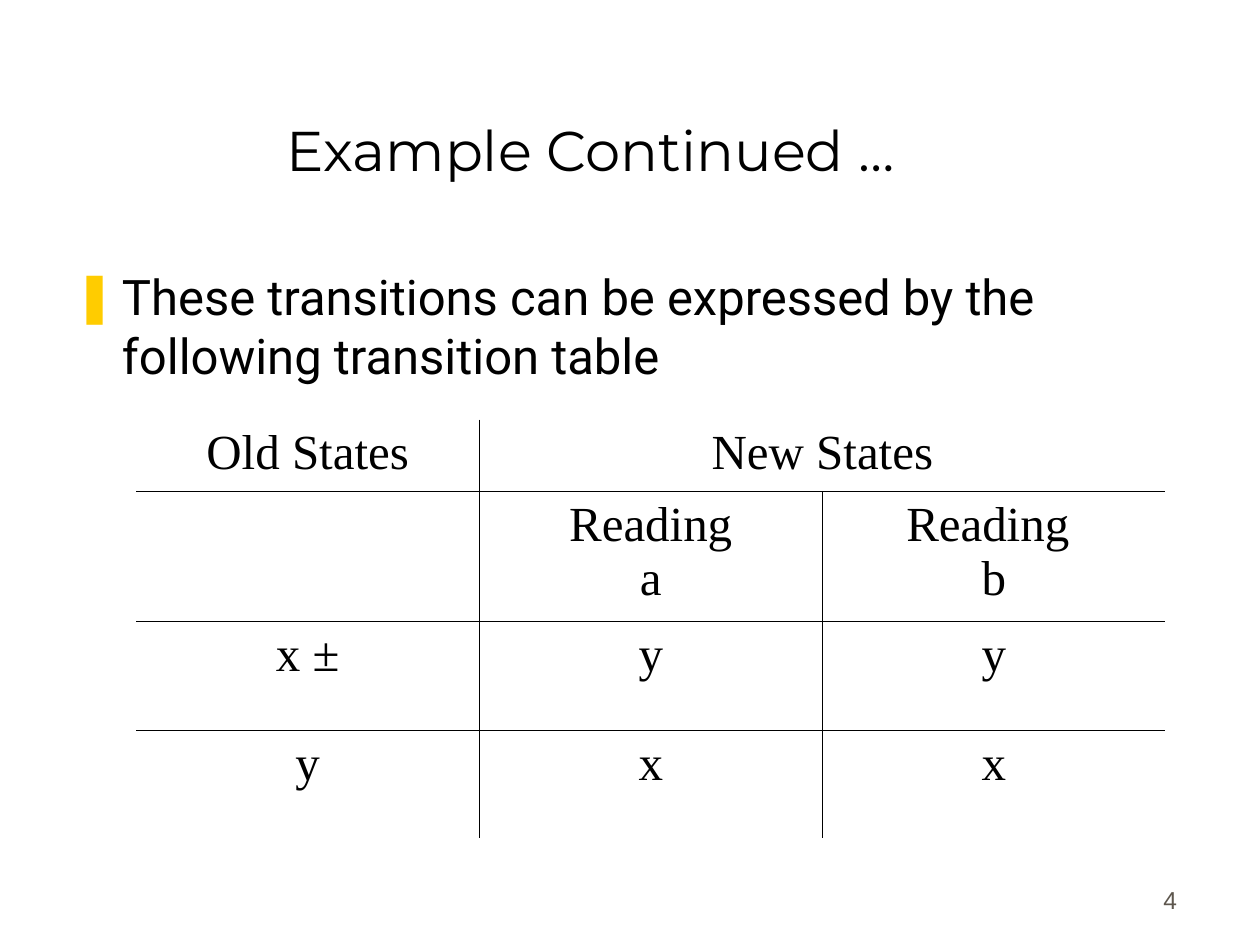
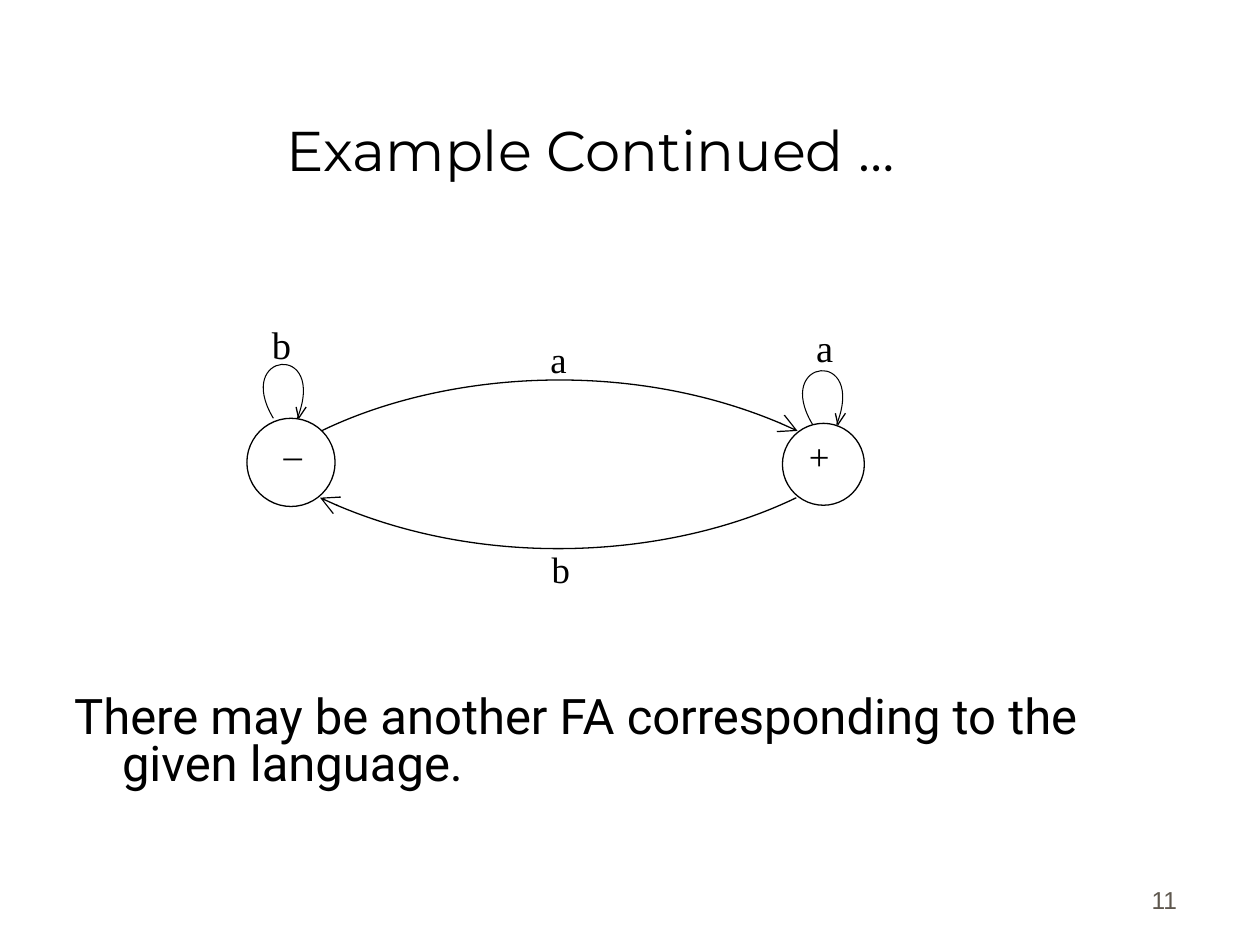
from lxml import etree
from pptx import Presentation
from pptx.dml.color import RGBColor
from pptx.enum.shapes import MSO_CONNECTOR, MSO_SHAPE
from pptx.enum.text import MSO_ANCHOR, PP_ALIGN
from pptx.oxml.ns import qn
from pptx.util import Inches, Pt

LEFT, CENTER, RIGHT = PP_ALIGN.LEFT, PP_ALIGN.CENTER, PP_ALIGN.RIGHT
TOP, BOTTOM = MSO_ANCHOR.TOP, MSO_ANCHOR.BOTTOM
ELLIPSE, STRAIGHT = MSO_SHAPE.OVAL, MSO_CONNECTOR.STRAIGHT
TITLE_ONLY = 5

BLACK, WHITE, YELLOW, GREY = "000000", "FFFFFF", "FFCC00", "5E574E"
TITLE_FONT, BODY_FONT, FIGURE_FONT, NUMBER_FONT = "Montserrat", "Roboto", "Times New Roman", "Arial"
TITLE = "Example Continued …"
TITLE_BOX = (0.44, 0.25, 8.5, 1.25)
NUMBER_BOX = (7.36, 6.81, 2.08, 0.5)
HANGING = 0.38
PLAIN_TABLE_STYLE = "{2D5ABB26-0587-4C30-8999-92F81FD0307C}"


def color(value):
    return RGBColor.from_string(value)


def add_element(parent, tag, **attributes):
    element = etree.SubElement(parent, qn(tag))
    for name, value in attributes.items():
        element.set(name, str(value))
    return element


def write(frame, text, font=FIGURE_FONT, size=28, ink=BLACK, align=LEFT, anchor=TOP,
          insets=(0.1, 0.05), hanging=0, bullet=None, line_spacing=None):
    frame.word_wrap = True
    frame.vertical_anchor = anchor
    frame.margin_left = frame.margin_right = Inches(insets[0])
    frame.margin_top = frame.margin_bottom = Inches(insets[1])
    frame.text = text
    for paragraph in frame.paragraphs:
        paragraph.alignment = align
        paragraph.line_spacing = line_spacing
        for run in paragraph.runs:
            run.font.name = font
            run.font.size = Pt(size)
            run.font.color.rgb = color(ink)
        if hanging:
            properties = paragraph._p.get_or_add_pPr()
            properties.set("marL", str(Inches(hanging)))
            properties.set("indent", str(-Inches(hanging)))
            if bullet:
                add_element(add_element(properties, "a:buClr"), "a:srgbClr", val=YELLOW)
                add_element(properties, "a:buFont", typeface=NUMBER_FONT)
                add_element(properties, "a:buChar", char=bullet)


def add_text(slide, box, text, **text_format):
    shape = slide.shapes.add_textbox(*map(Inches, box))
    write(shape.text_frame, text, **text_format)


def add_base_slide(presentation, number):
    slide = presentation.slides.add_slide(presentation.slide_layouts[TITLE_ONLY])
    title = slide.shapes.title
    title.left, title.top, title.width, title.height = map(Inches, TITLE_BOX)
    write(title.text_frame, TITLE, font=TITLE_FONT, size=32, align=CENTER, anchor=BOTTOM)
    add_text(slide, NUMBER_BOX, number, font=NUMBER_FONT, size=14, ink=GREY,
             align=RIGHT, anchor=BOTTOM)
    return slide


def add_border(cell, side):
    line = add_element(cell._tc.get_or_add_tcPr(), f"a:ln{side}", w=Pt(0.45))
    add_element(add_element(line, "a:solidFill"), "a:srgbClr", val=BLACK)


def add_transition_table(slide, box):
    rows = [
        ("Old States", "New States", ""),
        ("", "Reading\na", "Reading \nb"),
        ("x ±", "y", "y"),
        ("y", "x", "x"),
    ]
    heights = (0.57, 1.03, 0.86, 0.86)
    last_row, last_column = len(rows) - 1, len(rows[0]) - 1
    frame = slide.shapes.add_table(len(rows), len(rows[0]), *map(Inches, box))
    table = frame.table
    table.first_row = table.horz_banding = False
    table._tbl.tblPr.find(qn("a:tableStyleId")).text = PLAIN_TABLE_STYLE
    table.cell(0, 1).merge(table.cell(0, 2))
    for row_index, (row, height) in enumerate(zip(rows, heights)):
        table.rows[row_index].height = Inches(height)
        for column_index, text in enumerate(row):
            cell = table.cell(row_index, column_index)
            if text:
                write(cell.text_frame, text, align=CENTER)
            merged = row_index == 0
            edges = {
                "L": column_index == 1 or column_index == 2 and not merged,
                "R": column_index == 0 or column_index < last_column and not merged,
                "T": row_index > 0,
                "B": row_index < last_row,
            }
            for side, visible in edges.items():
                if visible:
                    add_border(cell, side)
            cell.fill.background()


def style_line(shape, width):
    shape.line.color.rgb = color(BLACK)
    shape.line.width = Pt(width)


def add_curve(slide, points, width, arrow=False):
    start, *others = [tuple(map(Inches, point)) for point in points]
    builder = slide.shapes.build_freeform(*start)
    builder.add_line_segments(others, close=False)
    shape = builder.convert_to_shape()
    outline = next(shape._element.iter(qn("a:path")))
    curve = add_element(outline, "a:cubicBezTo")
    for segment in outline.findall(qn("a:lnTo")):
        curve.append(segment[0])
        outline.remove(segment)
    shape.shadow.inherit = False
    shape.fill.background()
    style_line(shape, width)
    if arrow:
        add_element(shape.line._get_or_add_ln(), "a:tailEnd", type="arrow", w="lg", len="lg")


def add_stroke(slide, start, end):
    connector = slide.shapes.add_connector(STRAIGHT, *map(Inches, (*start, *end)))
    style_line(connector, 0.75)
    add_element(connector._element.spPr, "a:effectLst")


def add_state(slide, left, top, diameter):
    shape = slide.shapes.add_shape(ELLIPSE, *map(Inches, (left, top, diameter, diameter)))
    shape.shadow.inherit = False
    shape.fill.solid()
    shape.fill.fore_color.rgb = color(WHITE)
    style_line(shape, 0.75)


def add_automaton(slide, left, top):
    def place(points, shift_x=0, shift_y=0):
        return [(left + x + shift_x, top + y + shift_y) for x, y in points]

    for x, y, diameter in ((0, 0.82, 0.7), (4.25, 0.86, 0.65)):
        add_state(slide, left + x, top + y, diameter)
    for x, y, sign in ((-0.03, 0.75, "–"), (4.14, 0.77, "+")):
        add_text(slide, (left + x, top + y, 0.98, 0.68), sign, size=21, insets=(0.32, 0.24))

    loop = [(0.21, 0.82), (-0.11, 0.29), (0.64, 0.21), (0.4, 0.82)]
    loop_head = [(0.41, 0.82), (0.47, 0.73), (0.39, 0.73)]
    for shift in ((0, 0), (4.28, 0.05)):
        add_curve(slide, place(loop, *shift), 0.6)
        tip, *barbs = place(loop_head, *shift)
        for barb in barbs:
            add_stroke(slide, barb, tip)

    upper_arc = [(0.59, 0.92), (1.56, 0.45), (3.12, 0.33), (4.37, 0.92)]
    lower_arc = [(4.95 - x, 2.37 - y) for x, y in upper_arc]
    for arc in (upper_arc, lower_arc):
        add_curve(slide, place(arc), 0.75, arrow=True)

    labels = (("b", 0.1, 0, 22), ("a", 4.42, 0.02, 22), ("a", 2.31, 0.12, 21), ("b", 2.32, 1.79, 21))
    for letter, x, y, size in labels:
        add_text(slide, (left + x, top + y, 0.4, 0.46), letter, size=size)


def build_table_slide(presentation):
    slide = add_base_slide(presentation, "4")
    add_text(slide, (0.49, 2.07, 8.93, 1.1),
             "These transitions can be expressed by the following transition table",
             font=BODY_FONT, hanging=HANGING, bullet="❚")
    add_transition_table(slide, (1.08, 3.33, 8.17, 3.32))


def build_automaton_slide(presentation):
    slide = add_base_slide(presentation, "11")
    add_automaton(slide, 1.96, 2.5)
    add_text(slide, (0.49, 5.48, 8.95, 1.1),
             "There may be another FA corresponding to the given language.",
             font=BODY_FONT, hanging=HANGING, line_spacing=0.8)


def main():
    presentation = Presentation()
    presentation.slide_width, presentation.slide_height = Inches(10), Inches(7.5)
    build_table_slide(presentation)
    build_automaton_slide(presentation)
    presentation.save("out.pptx")


if __name__ == "__main__":
    main()
